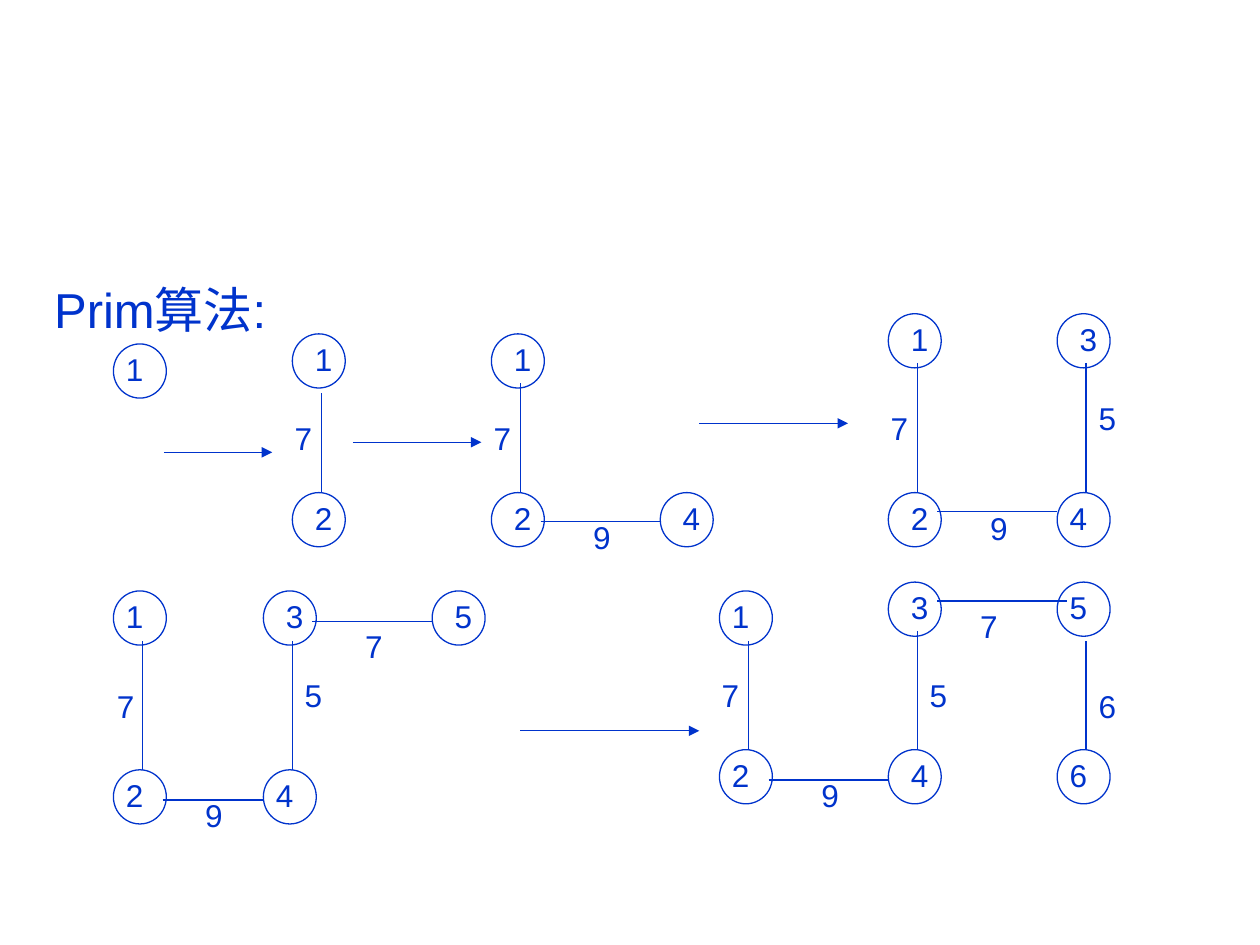
from pptx import Presentation
from pptx.dml.color import RGBColor
from pptx.enum.shapes import MSO_CONNECTOR, MSO_SHAPE
from pptx.enum.text import MSO_ANCHOR, MSO_AUTO_SIZE, PP_ALIGN
from pptx.oxml.ns import qn
from pptx.util import Inches, Pt

STRAIGHT = MSO_CONNECTOR.STRAIGHT
OVAL = MSO_SHAPE.OVAL
TOP = MSO_ANCHOR.TOP
LEFT = PP_ALIGN.LEFT
NO_FIT = MSO_AUTO_SIZE.NONE
GROW = MSO_AUTO_SIZE.SHAPE_TO_FIT_TEXT

BLUE = "0033CC"
FONT = "Arial"
HEADING = "Prim算法:"
NODE_WIDTH, NODE_HEIGHT, LABEL_HEIGHT = 0.42, 0.43, 0.4
EDGE_X, EDGE_START = 0.23, 0.39

# Nodes: name -> left, top, label indent, label width.
# Edges: first node, second node, offset, overlap, weight, label left, top, width.
STEPS = [
    {"nodes": {"1": (0.9, 2.73, 0, 0.47)}, "edges": []},
    {
        "nodes": {"1": (2.32, 2.65, 0.08, 0.32), "2": (2.32, 3.91, 0.08, 0.32)},
        "edges": [("1", "2", 0.47, 0, "7", 2.24, 3.28, 0.32)],
    },
    {
        "nodes": {"1": (3.9, 2.65, 0.08, 0.32), "2": (3.9, 3.91, 0.08, 0.32),
                  "4": (5.24, 3.91, 0.08, 0.32)},
        "edges": [("1", "2", 0.39, 0, "7", 3.82, 3.28, 0.31),
                  ("2", "4", 0.23, 0, "9", 4.61, 4.06, 0.47)],
    },
    {
        "nodes": {"1": (7.05, 2.49, 0.08, 0.31), "2": (7.05, 3.91, 0.08, 0.31),
                  "3": (8.39, 2.49, 0.08, 0.31), "4": (8.39, 3.91, 0, 0.47)},
        "edges": [("1", "2", 0.39, 0, "7", 6.97, 3.2, 0.55),
                  ("2", "4", 0.15, 0, "9", 7.76, 3.99, 0.55),
                  ("3", "4", 0.39, 0, "5", 8.62, 3.12, 0.31)],
    },
    {
        "nodes": {"1": (0.9, 4.69, 0, 0.31), "2": (0.9, 6.11, 0, 0.24),
                  "3": (2.09, 4.69, 0.08, 0.32), "4": (2.09, 6.11, 0, 0.31),
                  "5": (3.43, 4.69, 0.08, 0.24)},
        "edges": [("1", "2", 0.4, 0, "7", 0.83, 5.4, 0.39),
                  ("2", "4", 0.24, 0, "9", 1.53, 6.27, 0.55),
                  ("3", "4", 0.4, 0, "5", 2.32, 5.32, 0.31),
                  ("3", "5", 0.24, 0, "7", 2.8, 4.93, 0.39)],
    },
    {
        "nodes": {"1": (5.71, 4.69, 0, 0.39), "2": (5.71, 5.95, 0, 0.63),
                  "3": (7.05, 4.62, 0.08, 0.55), "4": (7.05, 5.95, 0.08, 0.31),
                  "5": (8.39, 4.62, 0, 0.47), "6": (8.39, 5.95, 0, 0.55)},
        "edges": [("1", "2", 0.4, 0, "7", 5.63, 5.32, 0.47),
                  ("2", "4", 0.24, 0, "9", 6.42, 6.11, 0.47),
                  ("3", "4", 0.39, 0, "5", 7.28, 5.32, 0.39),
                  ("3", "5", 0.15, 0.08, "7", 7.68, 4.77, 0.47),
                  ("5", "6", 0.47, 0, "6", 8.62, 5.4, 0.39)],
    },
]
ARROWS = [(1.3, 2.16, 3.59), (2.8, 3.82, 3.51), (5.55, 6.73, 3.36), (4.13, 5.55, 5.8)]


def color(value):
    return RGBColor.from_string(value)


def write(frame, text, size, fit):
    frame.word_wrap = True
    frame.auto_size = fit
    frame.vertical_anchor = TOP
    paragraph = frame.paragraphs[0]
    paragraph.alignment = LEFT
    run = paragraph.add_run()
    run.text = text
    run.font.name = FONT
    run.font.size = Pt(size)
    run.font.color.rgb = color(BLUE)


def add_label(slide, text, left, top, width):
    box = slide.shapes.add_textbox(*map(Inches, (left, top, width, LABEL_HEIGHT)))
    write(box.text_frame, text, 18, GROW)


def add_line(slide, x1, y1, x2, y2, arrow=False):
    line = slide.shapes.add_connector(STRAIGHT, *map(Inches, (x1, y1, x2, y2)))
    line.line.color.rgb = color(BLUE)
    line.line.width = Pt(0.75)
    properties = line._element.spPr
    if arrow:
        tail = properties.find(qn("a:ln")).makeelement(qn("a:tailEnd"), {"type": "triangle"})
        properties.find(qn("a:ln")).append(tail)
    properties.append(properties.makeelement(qn("a:effectLst"), {}))


def add_node(slide, name, left, top, indent, label_width):
    circle = slide.shapes.add_shape(
        OVAL, *map(Inches, (left, top, NODE_WIDTH, NODE_HEIGHT)))
    circle.shadow.inherit = False
    circle.fill.background()
    circle.line.color.rgb = color(BLUE)
    circle.line.width = Pt(0.75)
    add_label(slide, name, left + indent, top, label_width)


def add_edge(slide, nodes, first, second, offset, overlap, weight, *label):
    x1, y1 = nodes[first][:2]
    x2, y2 = nodes[second][:2]
    if x1 == x2:
        add_line(slide, x1 + EDGE_X, y1 + offset, x2 + EDGE_X, y2 + overlap)
    else:
        add_line(slide, x1 + EDGE_START, y1 + offset, x2 + overlap, y1 + offset)
    add_label(slide, weight, *label)


def main():
    """Build the slide that shows Prim's algorithm step by step."""
    presentation = Presentation()
    presentation.slide_width, presentation.slide_height = Inches(10), Inches(7.5)
    slide = presentation.slides.add_slide(presentation.slide_layouts[5])
    title = slide.shapes.title
    title.left, title.top, title.width, title.height = map(Inches, (0.33, 2.17, 9.34, 4.25))
    write(title.text_frame, HEADING, 28, NO_FIT)
    for step in STEPS:
        for name, place in step["nodes"].items():
            add_node(slide, name, *place)
        for edge in step["edges"]:
            add_edge(slide, step["nodes"], *edge)
    for start, end, y in ARROWS:
        add_line(slide, start, y, end, y, arrow=True)
    presentation.save("out.pptx")


if __name__ == "__main__":
    main()
